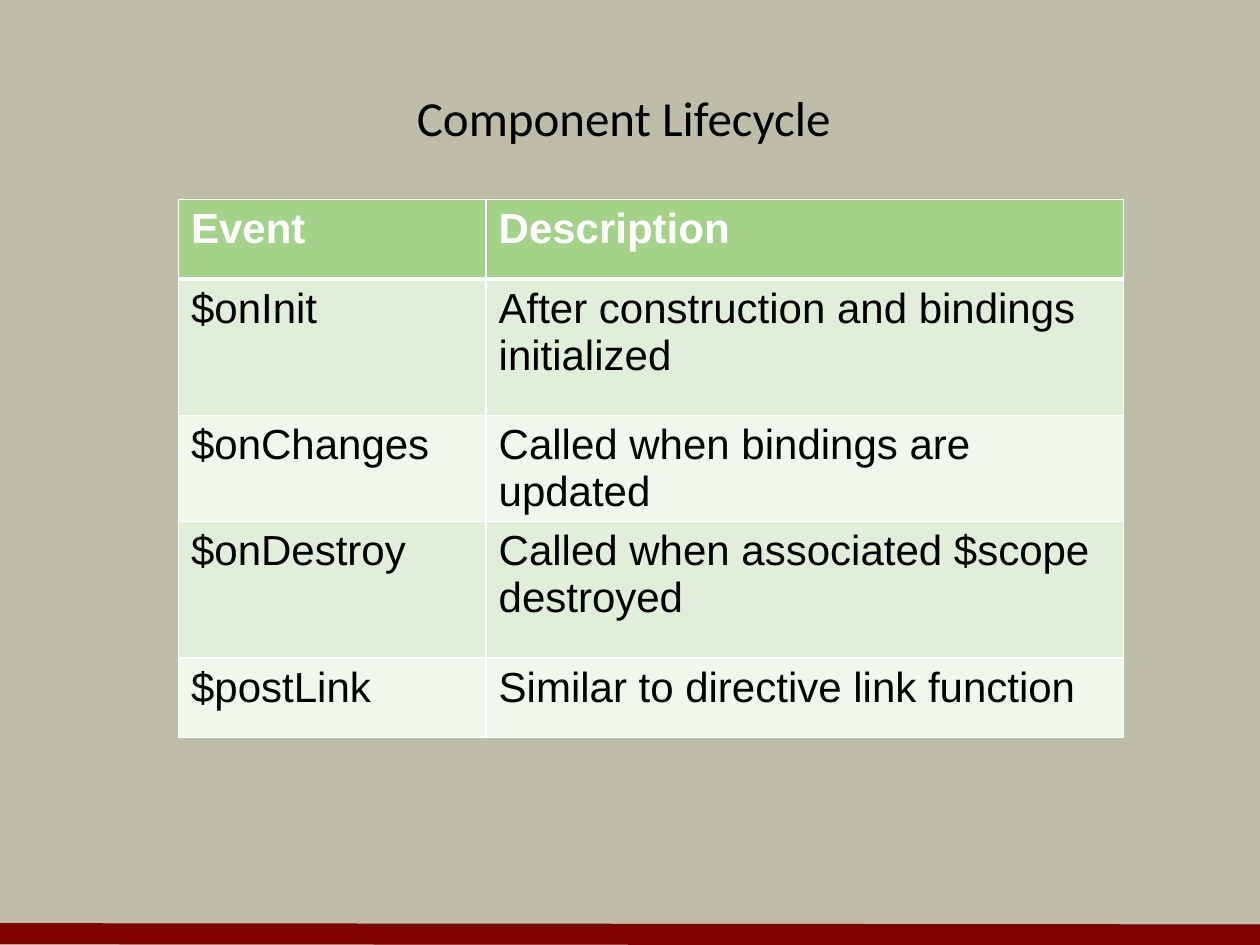
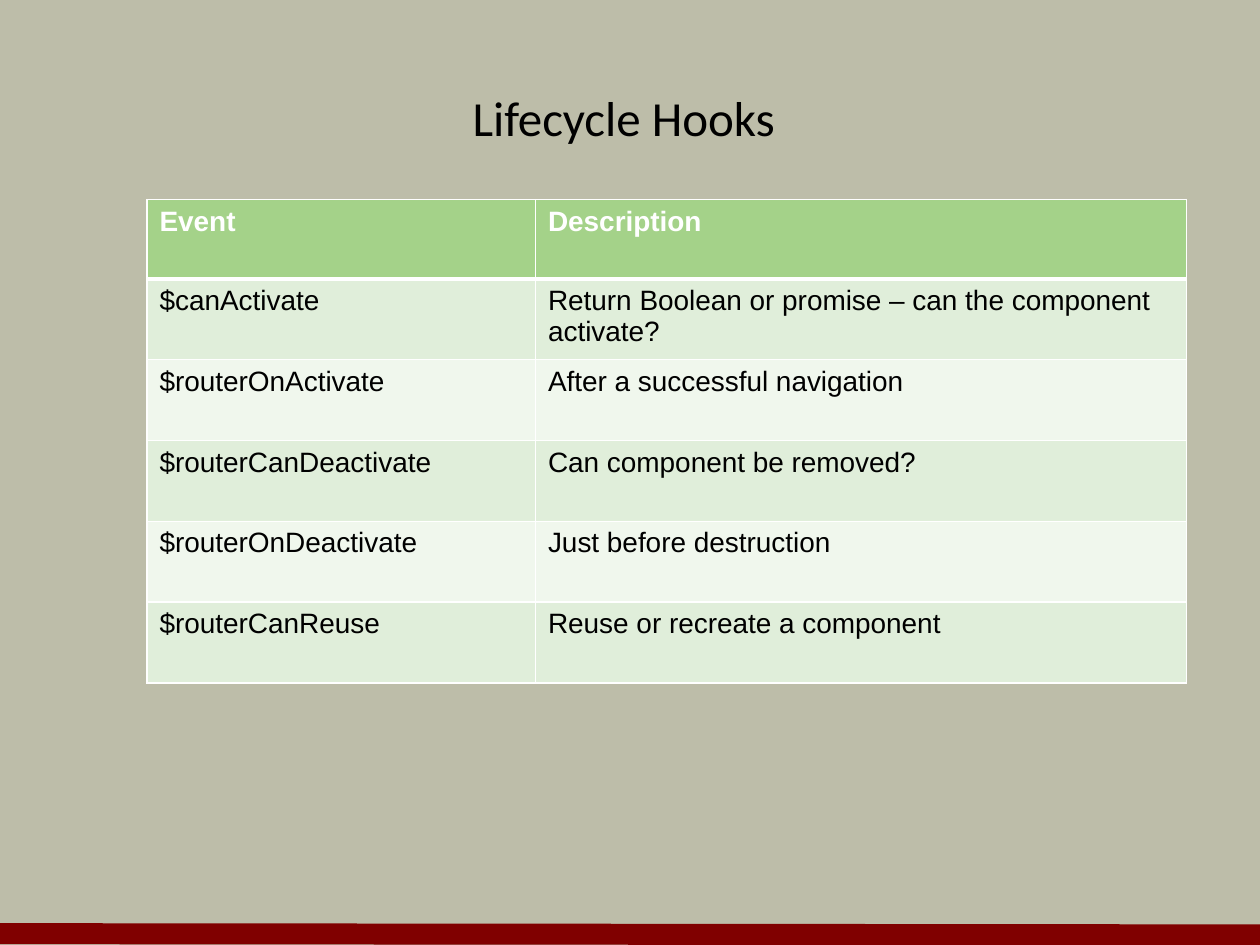
from lxml.etree import SubElement
from pptx import Presentation
from pptx.dml.color import RGBColor
from pptx.enum.shapes import MSO_CONNECTOR
from pptx.enum.text import MSO_ANCHOR, MSO_AUTO_SIZE, PP_ALIGN
from pptx.oxml.ns import qn
from pptx.util import Inches, Pt

COLORS = {
    "background": "BDBDA9",
    "band": "800000",
    "header": "A4D289",
    "odd_row": "E0EEDA",
    "even_row": "F0F7ED",
    "border": "FFFFFF",
    "header_text": "FFFFFF",
    "text": "000000",
}

# Each slide: table place, column widths and row heights in grid units
SLIDES = [
    {
        "title": "Component Lifecycle",
        "left": 17, "columns": [29.3, 60.7], "rows": [7.56, 13, 7.56, 13, 7.56],
        "size": 24,
        "cells": [
            ("Event", "Description"),
            ("$onInit", "After construction and bindings initialized"),
            ("$onChanges", "Called when bindings are updated"),
            ("$onDestroy", "Called when associated $scope destroyed"),
            ("$postLink", "Similar to directive link function"),
        ],
    },
    {
        "title": "Lifecycle Hooks",
        "left": 14, "columns": [37, 62], "rows": [7.56] + [7.7] * 5,
        "size": 16,
        "cells": [
            ("Event", "Description"),
            ("$canActivate", "Return Boolean or promise – can the component activate?"),
            ("$routerOnActivate", "After a successful navigation"),
            ("$routerCanDeactivate", "Can component be removed?"),
            ("$routerOnDeactivate", "Just before destruction"),
            ("$routerCanReuse", "Reuse or recreate a component"),
        ],
    },
]

presentation = Presentation()
presentation.slide_width = Inches(10)
presentation.slide_height = Inches(7.5)
UNIT = presentation.slide_width / 120
TABLE_TOP = 19


def grid(units):
    """Length of a number of grid units."""
    return round(units * UNIT)


def format_text(paragraph, alignment, **font_values):
    """Align a paragraph and set its font from the given values."""
    paragraph.alignment = alignment
    color = font_values.pop("color")
    for name, value in font_values.items():
        setattr(paragraph.font, name, value)
    paragraph.font.color.rgb = RGBColor.from_string(COLORS[color])


# Shared background
master = presentation.slide_master
master.background.fill.solid()
master.background.fill.fore_color.rgb = RGBColor.from_string(COLORS["background"])
layout = presentation.slide_layouts.get_by_name("Title Only")

for number, content in enumerate(SLIDES):
    slide = presentation.slides.add_slide(layout)

    # Bottom band, drawn once and moved to the master
    if number == 0:
        band = slide.shapes.add_connector(
            MSO_CONNECTOR.STRAIGHT, 0, Inches(7.41),
            presentation.slide_width, Inches(7.42))
        band.line.color.rgb = RGBColor.from_string(COLORS["band"])
        band.line.width = Pt(12)
        SubElement(band._element.spPr, qn("a:effectLst"))
        master.shapes._spTree.append(band._element)

    # Title
    title = slide.shapes.title
    place = {"left": 7, "top": 7.7, "width": 106, "height": 5.8}
    for name, units in place.items():
        setattr(title, name, grid(units))
    frame = title.text_frame
    frame.text = content["title"]
    frame_format = {
        "margin_left": 0, "margin_right": Inches(0.1),
        "margin_top": Inches(0.05), "margin_bottom": Inches(0.05),
        "vertical_anchor": MSO_ANCHOR.TOP,
        "auto_size": MSO_AUTO_SIZE.NONE, "word_wrap": True,
    }
    for name, value in frame_format.items():
        setattr(frame, name, value)
    format_text(frame.paragraphs[0], PP_ALIGN.CENTER,
                name="Calibri", size=Pt(28), color="text")

    # Table
    columns, rows = content["columns"], content["rows"]
    table = slide.shapes.add_table(
        len(rows), len(columns), grid(content["left"]), grid(TABLE_TOP),
        grid(sum(columns)), grid(sum(rows))).table
    for column, width in zip(table.columns, columns):
        column.width = grid(width)
    for row, height in zip(table.rows, rows):
        row.height = grid(height)

    for row_index, texts in enumerate(content["cells"]):
        is_header = row_index == 0
        row_fill = "header" if is_header else ("even_row", "odd_row")[row_index % 2]
        for column_index, text in enumerate(texts):
            cell = table.cell(row_index, column_index)
            cell.text = text
            format_text(cell.text_frame.paragraphs[0], PP_ALIGN.LEFT,
                        name="Arial", size=Pt(content["size"]), bold=is_header,
                        color="header_text" if is_header else "text")

            # Borders come before the fill; a thick rule closes the header
            properties = cell._tc.get_or_add_tcPr()
            for side in ("lnL", "lnR", "lnT", "lnB"):
                thick = (is_header and side == "lnB") or (row_index == 1 and side == "lnT")
                border = SubElement(properties, qn(f"a:{side}"), w=str(Pt(3 if thick else 1)))
                border_fill = SubElement(border, qn("a:solidFill"))
                SubElement(border_fill, qn("a:srgbClr"), val=COLORS["border"])
            cell.fill.solid()
            cell.fill.fore_color.rgb = RGBColor.from_string(COLORS[row_fill])

presentation.save("out.pptx")
